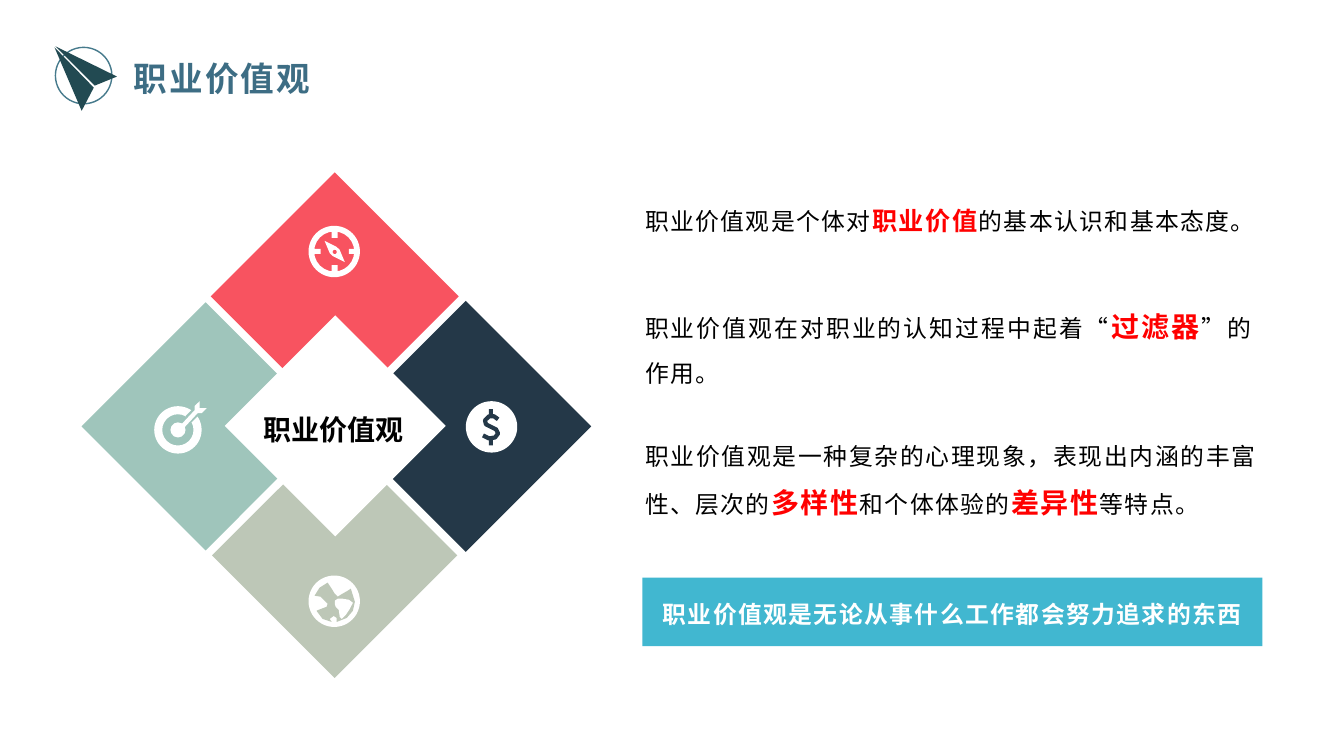
from pptx import Presentation
from pptx import util as u
from pptx.dml.color import RGBColor
from pptx.enum import shapes, text
from pptx.oxml.ns import qn
from lxml import etree

PX = 9144
FONT = "Noto Sans CJK SC"
WHITE = RGBColor(0xFF, 0xFF, 0xFF)
BLACK = RGBColor(0x00, 0x00, 0x00)
RED = RGBColor(0xFF, 0x00, 0x00)
TITLE_BLUE = RGBColor(0x3D, 0x6D, 0x84)
RING_BLUE = RGBColor(0x46, 0x7A, 0x8C)
PLANE_GREEN = RGBColor(0x22, 0x4A, 0x52)
CORAL = RGBColor(0xF8, 0x53, 0x60)
SAGE = RGBColor(0xBD, 0xC7, 0xB7)
TEAL = RGBColor(0x9F, 0xC5, 0xBB)
NAVY = RGBColor(0x24, 0x38, 0x48)
BANNER_BLUE = RGBColor(0x41, 0xB7, 0xD0)

RECT = shapes.MSO_SHAPE.RECTANGLE
OVAL = shapes.MSO_SHAPE.OVAL
DONUT = shapes.MSO_SHAPE.DONUT
ALIGN = text.PP_ALIGN


class ValuesSlide:
    def __init__(self, deck):
        self.slide = deck.slides.add_slide(deck.slide_layouts[6])
        self.shapes = self.slide.shapes

    def paint(self, shape, fill=None, line=None, width=1):
        shape.shadow.inherit = False
        if fill is None:
            shape.fill.background()
        else:
            shape.fill.solid()
            shape.fill.fore_color.rgb = fill
        if line is None:
            shape.line.fill.background()
        else:
            shape.line.color.rgb = line
            shape.line.width = u.Pt(width)
        return shape

    def preset(self, kind, left, top, width, height, **colours):
        box = [v * PX for v in (left, top, width, height)]
        return self.paint(self.shapes.add_shape(kind, *box), **colours)

    def diamond(self, center_x, center_y, side, fill):
        half = side // 2
        tile = self.preset(RECT, center_x - half, center_y - half,
                           side, side, fill=fill)
        tile.rotation = 315

    def donut(self, left, top, size, thickness):
        ring = self.preset(DONUT, left, top, size, size, fill=WHITE)
        ring.adjustments[0] = thickness

    def outline(self, *contours, close=True, **colours):
        builder = self.shapes.build_freeform(*contours[0][0], scale=PX)
        for index, contour in enumerate(contours):
            if index:
                builder.move_to(*contour[0])
            builder.add_line_segments(contour[1:], close=close)
        return self.paint(builder.convert_to_shape(), **colours)

    def set_text(self, frame, runs, align, leading, inset=5, spacing=0,
                 anchor=text.MSO_ANCHOR.TOP):
        settings = {"word_wrap": True, "vertical_anchor": anchor,
                    "margin_left": 10 * PX, "margin_right": 10 * PX,
                    "margin_top": inset * PX, "margin_bottom": 5 * PX}
        for name, value in settings.items():
            setattr(frame, name, value)
        paragraph = frame.paragraphs[0]
        paragraph.alignment = align
        paragraph.line_spacing = u.Pt(leading)
        for words, size, colour, bold in runs:
            run = paragraph.add_run()
            run.text = words
            style = {"name": FONT, "size": u.Pt(size), "bold": bold}
            for name, value in style.items():
                setattr(run.font, name, value)
            run.font.color.rgb = colour
            properties = run._r.get_or_add_rPr()
            if spacing:
                properties.set("spc", str(spacing))
            etree.SubElement(properties, qn("a:ea"), typeface=FONT)

    def textbox(self, left, top, width, height, runs, align, leading, **kw):
        box = self.shapes.add_textbox(
            *[v * PX for v in (left, top, width, height)])
        self.set_text(box.text_frame, runs, align, leading, **kw)

    def header(self):
        self.textbox(123, 49, 667, 50, [("职业价值观", 24, TITLE_BLUE, True)],
                     ALIGN.LEFT, 31, spacing=150)
        self.preset(OVAL, 55, 47, 56, 56, line=RING_BLUE)
        self.outline([(116, 76), (94, 85), (55, 46)],
                     [(93, 87), (81, 110), (54, 47)], fill=PLANE_GREEN)

    def target(self):
        self.donut(153, 403, 47, 0.17)
        self.preset(OVAL, 169, 419, 15, 15, fill=WHITE)
        self.outline([(184, 413), (190, 419), (197, 412), (191, 406)],
                     fill=TEAL)
        self.outline([(198, 405), (198, 398), (193, 403), (193, 407),
                      (180, 421), (183, 424), (196, 410), (200, 410),
                      (205, 405)], fill=WHITE)

    def dollar(self):
        self.preset(OVAL, 462, 398, 51, 51, fill=WHITE)
        self.outline([(494, 416), (490, 413), (485, 413), (481, 417),
                      (482, 421), (492, 426), (494, 430), (491, 434),
                      (485, 435), (479, 432)],
                     close=False, line=NAVY, width=3)
        for top in (406, 436):
            self.preset(RECT, 485, top, 4, 6, fill=NAVY)

    def compass(self):
        self.donut(306, 224, 51, 0.11)
        for tick in ((329, 229, 6, 7), (329, 263, 6, 8),
                     (311, 247, 7, 5), (346, 247, 7, 5)):
            self.preset(RECT, *tick, fill=WHITE)
        self.outline([(322, 239), (327, 251), (330, 254), (342, 260),
                      (337, 248), (334, 245)], fill=WHITE)
        self.preset(OVAL, 330, 248, 4, 4, fill=CORAL)

    def globe(self):
        self.preset(OVAL, 306, 571, 51, 51, fill=WHITE)
        self.outline([(334, 617), (334, 613), (331, 611), (327, 614),
                      (329, 617), (320, 614), (314, 606), (316, 605),
                      (324, 602), (325, 599), (318, 592), (312, 591),
                      (317, 583), (325, 578), (329, 584), (332, 589),
                      (335, 592), (338, 590), (345, 586), (348, 584),
                      (352, 597), (350, 606), (344, 613)], fill=SAGE)
        self.outline([(346, 595), (340, 594), (335, 594), (332, 596),
                      (332, 599), (333, 602), (336, 605), (337, 612),
                      (339, 614), (343, 610), (347, 604), (350, 598)],
                     fill=WHITE)

    def statement(self, top, width, height, parts, emphasis, leading, inset):
        runs = [(words, emphasis, RED, True) if index % 2
                else (words, 17, BLACK, False)
                for index, words in enumerate(parts)]
        self.textbox(630, top, width, height, runs, ALIGN.JUSTIFY, leading,
                     inset=inset, spacing=100)

    def banner(self, words):
        bar = self.preset(RECT, 637, 573, 615, 68, fill=BANNER_BLUE)
        self.set_text(bar.text_frame, [(words, 17, WHITE, True)],
                      ALIGN.CENTER, 23, spacing=100,
                      anchor=text.MSO_ANCHOR.MIDDLE)


def main():
    deck = Presentation()
    deck.slide_width, deck.slide_height = 1333 * PX, 750 * PX
    values = ValuesSlide(deck)
    values.header()
    for tile in ((332, 294, 174, CORAL), (332, 551, 172, SAGE),
                 (204, 423, 174, TEAL), (462, 423, 176, NAVY),
                 (332, 422, 155, WHITE)):
        values.diamond(*tile)
    values.target()
    values.dollar()
    values.compass()
    values.globe()
    values.statement(183, 627, 36, (
        "职业价值观是个体对", "职业价值", "的基本认识和基本态度。"), 18, 33, 5)
    values.statement(283, 622, 51, (
        "职业价值观在对职业的认知过程中起着“", "过滤器", "”的作用。"),
        20, 31.4, 14)
    values.statement(417, 627, 99, (
        "职业价值观是一种复杂的心理现象，表现出内涵的丰富性、层次的",
        "多样性", "和个体体验的", "差异性", "等特点。"), 20, 35, 1)
    values.textbox(229, 396, 204, 50, [("职业价值观", 20, BLACK, True)],
                   ALIGN.CENTER, 30)
    values.banner("职业价值观是无论从事什么工作都会努力追求的东西")
    deck.save("out.pptx")


if __name__ == "__main__":
    main()
